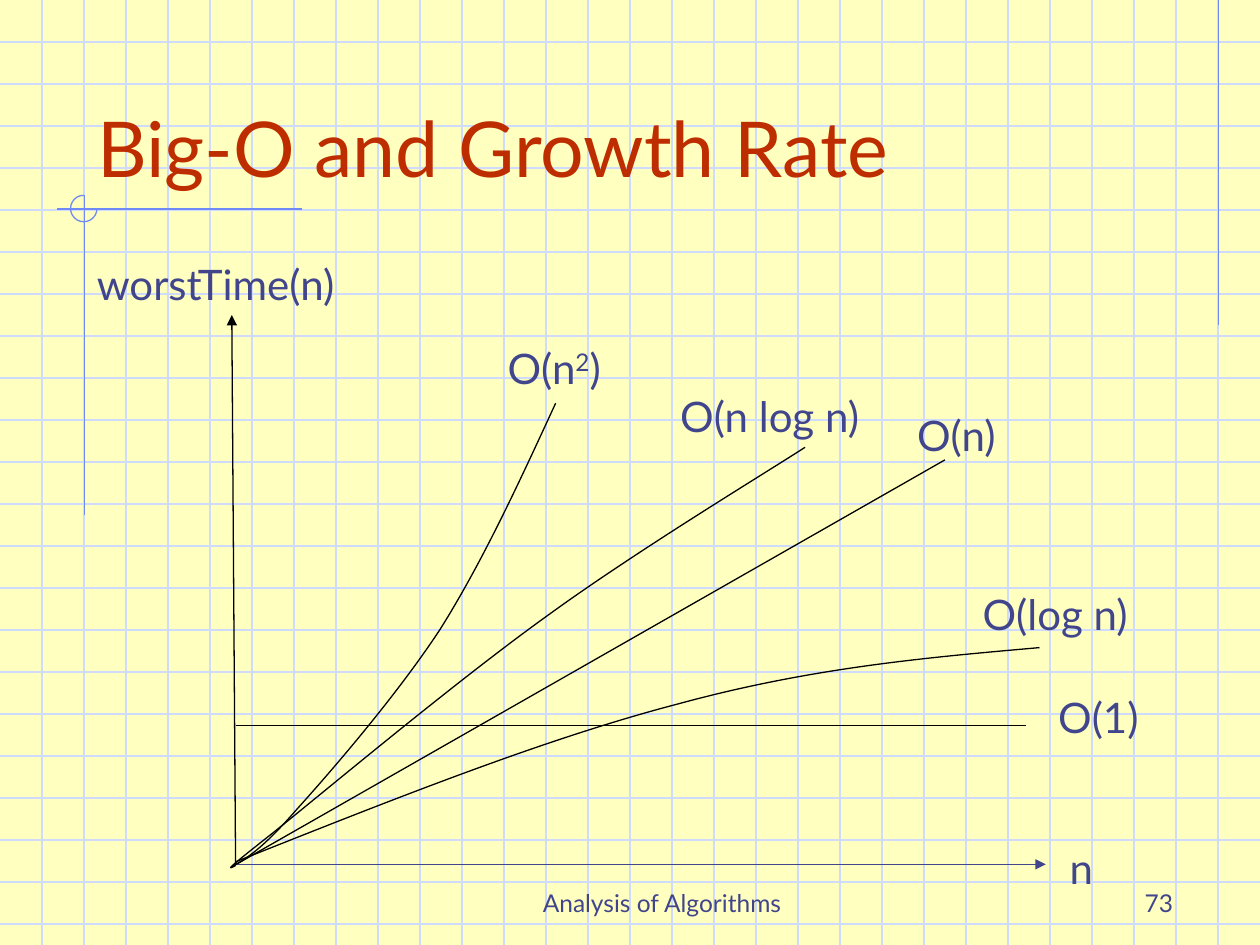
"""Build the slide that compares Big-O growth rates."""
import dataclasses
import typing

import lxml.etree
import pptx
import pptx.dml.color
import pptx.enum.shapes
import pptx.enum.text
import pptx.oxml.ns
import pptx.util

HUES = {"page": "FFFFBF", "grid": "CFDBFD", "trim": "6F89F7",
        "title": "BE2D00", "text": "40458C", "curve": "000000"}
FONT = "Lato"
WIDE, HIGH = 10, 7.5
STEP = 1 / 3
ALIGN = pptx.enum.text.PP_ALIGN
ANCHOR = pptx.enum.text.MSO_ANCHOR
Point = tuple[float, float]
qn = pptx.oxml.ns.qn


@dataclasses.dataclass
class Line:
    start: Point
    end: Point
    hue: str
    arrow: bool = False


@dataclasses.dataclass
class Label:
    runs: list[str]
    box: tuple[float, float, float, float]
    size: int = 24
    align: typing.Any = ALIGN.LEFT
    anchor: typing.Any = ANCHOR.TOP


GRID = [Line((0, row * STEP), (WIDE, row * STEP), "grid") for row in range(1, 23)]
GRID += [Line((col * STEP, 0), (col * STEP, HIGH), "grid") for col in range(1, 30)]
TRIM = [
    Line((9.67, 0), (9.67, 2.58), "trim"),
    Line((2.4, 1.66), (0.45, 1.66), "trim"),
    Line((0.67, 1.55), (0.67, 4.09), "trim"),
]
PLOT = [
    Line((1.87, 5.76), (8.14, 5.76), "curve"),
    Line((1.87, 6.86), (1.84, 2.5), "curve", True),
    Line((1.84, 6.88), (7.5, 3.65), "curve"),
    Line((1.87, 6.86), (8.3, 6.86), "text", True),
]
CURVES = [
    [(1.87, 6.84), (3.08, 6.36), (4.3, 5.87), (5.37, 5.59),
     (6.43, 5.3), (7.34, 5.22), (8.25, 5.14)],
    [(1.87, 6.87), (1.81, 6.9), (1.76, 6.93), (2.18, 6.6), (2.59, 6.27),
     (3.63, 5.4), (4.34, 4.89), (5.04, 4.38), (6.05, 3.77), (6.39, 3.55)],
    [(1.84, 6.88), (1.96, 6.81), (2.08, 6.74), (2.35, 6.43), (2.63, 6.12),
     (3.14, 5.53), (3.49, 5), (3.83, 4.46), (4.12, 3.83), (4.41, 3.2)],
]
LABELS = [
    Label(["O(n", "^2", ")"], (3.93, 2.67, 1.2, 0.5)),
    Label(["O(n log n)"], (5.3, 3.05, 1.71, 0.9)),
    Label(["O(n)"], (7.18, 3.2, 1.11, 0.5)),
    Label(["O(log n)"], (7.7, 4.62, 1.54, 0.5)),
    Label(["O(1)"], (8.3, 5.44, 1.2, 0.5)),
    Label(["n"], (8.39, 6.64, 0.6, 0.5)),
    Label(["worstTime(n)"], (0.67, 2, 2.4, 0.5)),
]
FOOT = [
    Label(["Analysis of Algorithms"], (3.67, 6.83, 3.17, 0.5), 14,
          ALIGN.CENTER, ANCHOR.BOTTOM),
    Label(["73"], (7.33, 6.83, 2.08, 0.5), 14, ALIGN.RIGHT, ANCHOR.BOTTOM),
]
TITLE = Label(["Big-O and Growth Rate"], (0.67, 0.33, 8.5, 1.25), 44,
              anchor=ANCHOR.BOTTOM)


def span(inch: float) -> pptx.util.Cm:
    """Turn inches into a length."""
    return pptx.util.Cm(inch * 2.54)


def tint(name: str) -> pptx.dml.color.RGBColor:
    """Look up a colour."""
    return pptx.dml.color.RGBColor.from_string(HUES[name])


def ink(line: typing.Any, hue: str) -> None:
    """Give a line its colour and width."""
    line.color.rgb = tint(hue)
    line.width = pptx.util.Pt(0.75)


def draw_line(shapes: typing.Any, item: Line) -> None:
    """Draw a straight line or an arrow."""
    ends = [span(part) for part in (*item.start, *item.end)]
    link = shapes.add_connector(pptx.enum.shapes.MSO_CONNECTOR.STRAIGHT, *ends)
    ink(link.line, item.hue)
    props = link._element.spPr
    if item.arrow:
        lxml.etree.SubElement(props.find(qn("a:ln")), qn("a:tailEnd"), type="triangle")
    lxml.etree.SubElement(props, qn("a:effectLst"))


def draw_curve(shapes: typing.Any, knots: list[Point]) -> None:
    """Draw a chain of cubic curves, three knots to each."""
    points = [(span(x), span(y)) for x, y in knots]
    pen = shapes.build_freeform(*points[0])
    pen.add_line_segments(points[1:], close=False)
    shape = pen.convert_to_shape()
    legs = list(shape._element.iter(qn("a:lnTo")))
    for first in range(0, len(legs), 3):
        cubic = lxml.etree.SubElement(legs[0].getparent(), qn("a:cubicBezTo"))
        for leg in legs[first:first + 3]:
            cubic.append(leg[0])
            leg.getparent().remove(leg)
        if first + 3 < len(legs):
            legs[0] = legs[first + 3]
    shape.shadow.inherit = False
    shape.fill.background()
    ink(shape.line, "curve")


def draw_arc(shapes: typing.Any) -> None:
    """Draw the open ring where the trim lines cross."""
    box = [span(part) for part in (0.56, 1.55, 0.21, 0.21)]
    ring = shapes.add_shape(pptx.enum.shapes.MSO_SHAPE.ARC, *box)
    ring.adjustments[0], ring.adjustments[1] = 0, 162
    ring.shadow.inherit = False
    ring.fill.background()
    ink(ring.line, "trim")


def write(shape: typing.Any, label: Label, hue: str) -> None:
    """Fill a shape with a label; a run led by a caret is raised."""
    frame = shape.text_frame
    frame.word_wrap = True
    frame.auto_size = pptx.enum.text.MSO_AUTO_SIZE.NONE
    frame.vertical_anchor = label.anchor
    para = frame.paragraphs[0]
    para.alignment = label.align
    for text in label.runs:
        run = para.add_run()
        run.text = text.lstrip("^")
        run.font.name = FONT
        run.font.size = pptx.util.Pt(label.size)
        run.font.color.rgb = tint(hue)
        if text.startswith("^"):
            run._r.get_or_add_rPr().set("baseline", "30000")


def draw_back(slide: typing.Any) -> None:
    """Draw the squared paper and its trim, and keep them on the layout."""
    group = slide.shapes.add_group_shape()
    for item in GRID + TRIM:
        draw_line(group.shapes, item)
    draw_arc(group.shapes)
    for count, mark in enumerate(group._element.iter(qn("p:cNvPr")), 100):
        mark.set("id", str(count))
    slide.slide_layout.shapes._spTree.insert(2, group._element)


def main() -> None:
    """Build and save the slide."""
    deck = pptx.Presentation()
    deck.slide_width, deck.slide_height = span(WIDE), span(HIGH)
    slide = deck.slides.add_slide(deck.slide_layouts[5])
    slide.background.fill.solid()
    slide.background.fill.fore_color.rgb = tint("page")
    draw_back(slide)

    for label in FOOT:
        write(slide.shapes.add_textbox(*map(span, label.box)), label, "text")
    title = slide.shapes.title
    title.left, title.top, title.width, title.height = map(span, TITLE.box)
    write(title, TITLE, "title")
    slide.shapes._spTree.append(title._element)

    plot = slide.shapes.add_group_shape().shapes
    for item in PLOT:
        draw_line(plot, item)
    for knots in CURVES:
        draw_curve(plot, knots)
    for label in LABELS:
        write(plot.add_textbox(*map(span, label.box)), label, "text")
    deck.save("out.pptx")


if __name__ == "__main__":
    main()
